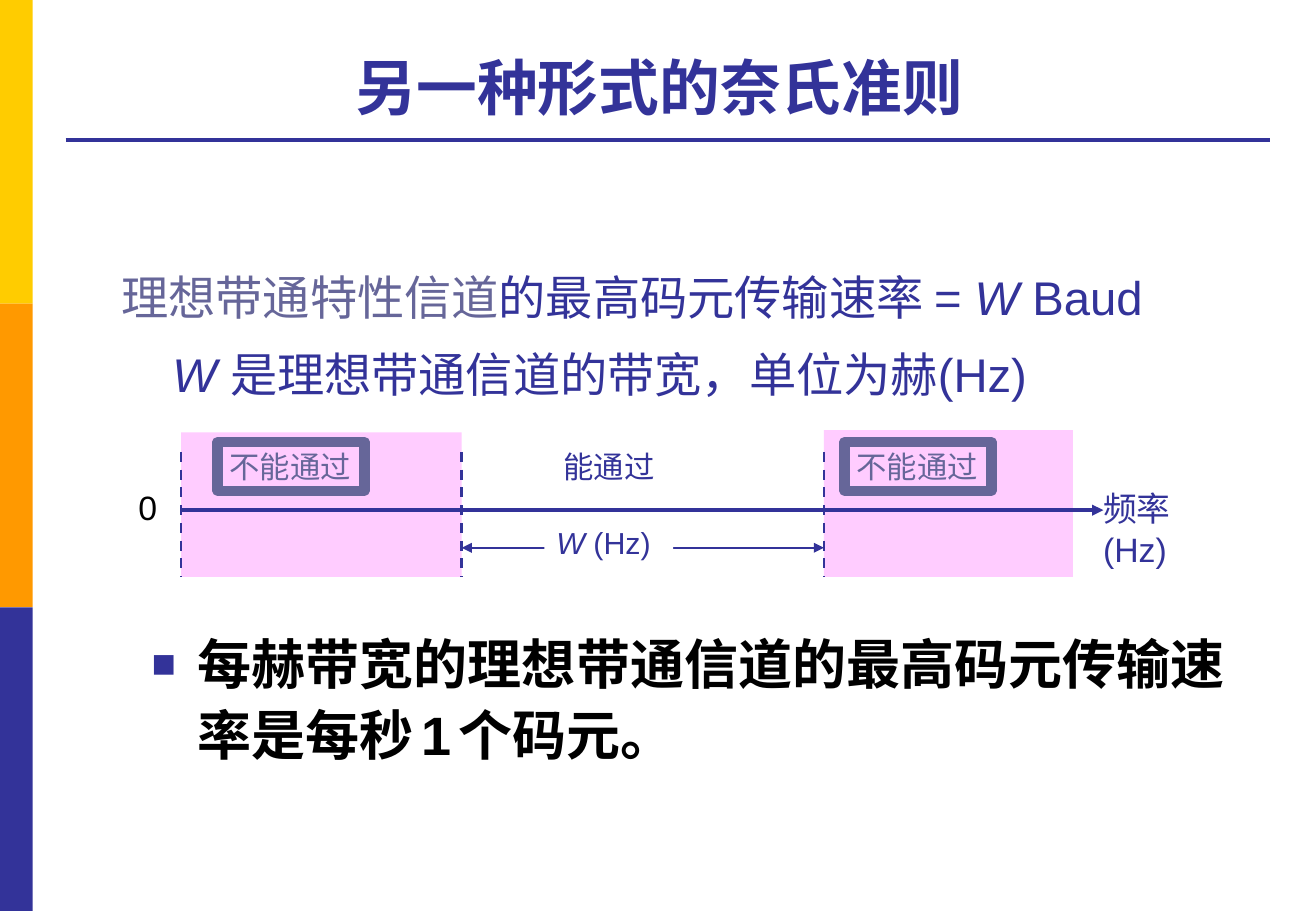
from lxml.etree import SubElement
from pptx import Presentation
from pptx.dml.color import RGBColor
from pptx.enum.dml import MSO_LINE
from pptx.enum.shapes import MSO_CONNECTOR, MSO_SHAPE
from pptx.enum.text import MSO_ANCHOR, MSO_AUTO_SIZE, PP_ALIGN
from pptx.oxml.ns import qn
from pptx.util import Inches, Pt

NAVY, SLATE, PINK = "333399", "666699", "FFCCFF"


def color(value):
    return RGBColor.from_string(value)


def add_run(paragraph, text, size, ink=NAVY, italic=False, bold=False):
    run = paragraph.add_run()
    run.text = text
    font = run.font
    font.name, font.size = "Arial", Pt(size)
    font.italic, font.bold = italic, bold
    font.color.rgb = color(ink)


def add_label(slide, left, top, width, height, runs, wrap=False):
    label = slide.shapes.add_textbox(Inches(left), Inches(top), Inches(width), Inches(height))
    label.text_frame.word_wrap = wrap
    paragraph = label.text_frame.paragraphs[0]
    for run in runs:
        add_run(paragraph, *run)
    return label


def add_block(slide, left, top, width, height, fill):
    block = slide.shapes.add_shape(
        MSO_SHAPE.RECTANGLE, Inches(left), Inches(top), Inches(width), Inches(height))
    block.shadow.inherit = False
    block.fill.solid()
    block.fill.fore_color.rgb = color(fill)
    block.line.fill.background()


def add_line(slide, start, end, width, dashed=False, arrows=()):
    line = slide.shapes.add_connector(
        MSO_CONNECTOR.STRAIGHT, *(Inches(value) for value in (*start, *end)))
    line.line.color.rgb = color(NAVY)
    line.line.width = Pt(width)
    if dashed:
        line.line.dash_style = MSO_LINE.DASH
    properties = line.line._get_or_add_ln()
    for end_name in arrows:
        SubElement(properties, qn(f"a:{end_name}"), type="triangle")
    SubElement(line._element.spPr, qn("a:effectLst"))


def add_sidebar(slide, left, top, width, height):
    band = height / 3
    for index, fill in enumerate(("FFCC00", "FF9900", NAVY)):
        add_block(slide, left, top + index * band, width, band, fill)


def add_title(slide, left, top, width, height):
    title = slide.shapes.title
    title.left, title.top = Inches(left), Inches(top)
    title.width, title.height = Inches(width), Inches(height)
    frame = title.text_frame
    frame.auto_size = MSO_AUTO_SIZE.NONE
    frame.vertical_anchor = MSO_ANCHOR.BOTTOM
    paragraph = frame.paragraphs[0]
    paragraph.alignment = PP_ALIGN.CENTER
    add_run(paragraph, "另一种形式的奈氏准则", 36, bold=True)
    add_run(paragraph, " ", 44, bold=True)
    rule = top + height + 0.07
    add_line(slide, (left, rule), (left + width, rule), 2.25)


def add_formula(slide, left, top, width):
    add_label(slide, left, top, width, 0.57, [
        ("理想带通特性信道", 28, SLATE),
        ("的最高码元传输速率 = ", 28),
        ("W", 28, NAVY, True),
        (" Baud", 28),
    ])
    add_label(slide, left + 0.42, top + 0.63, width - 1.41, 0.57, [
        ("W ", 28, NAVY, True),
        ("是理想带通信道的带宽，单位为赫(Hz)", 28),
    ])


def add_stopband(slide, left, top, width, height):
    add_block(slide, left, top, width, height, PINK)


def add_stop_label(slide, left, top):
    label = add_label(slide, left, top, 1.21, 0.4, [("不能通过", 18, SLATE)])
    label.line.color.rgb = color(SLATE)
    label.line.width = Pt(6)


def add_spectrum(slide, left, top, width, height):
    low, high, bottom = left + 2.31, left + 5.29, top + height
    axis, span = top + 0.66, top + 0.97
    add_stopband(slide, left, top + 0.02, low - left, height - 0.02)
    add_stopband(slide, high, top, 2.05, height)
    add_line(slide, (left, axis), (left + width, axis), 2.25, arrows=("tailEnd",))
    add_line(slide, (low, span), (high, span), 1.5, arrows=("headEnd", "tailEnd"))
    add_block(slide, low + 0.68, top + 0.73, 1.06, 0.4, "FFFFFF")
    add_label(slide, low + 0.68, top + 0.73, 1.06, 0.4,
              [("W ", 18, NAVY, True), ("(Hz)", 18)])
    for edge in (left, low, high):
        add_line(slide, (edge, top + 0.18), (edge, bottom), 1.5, dashed=True)
    for label_left in (left + 0.3, high + 0.17):
        add_stop_label(slide, label_left, top + 0.1)
    add_label(slide, low + 0.74, top + 0.1, 0.96, 0.4, [("能通过", 18)])
    add_label(slide, left - 0.45, axis - 0.24, 0.36, 0.44, [("0", 20, "000000")])
    add_label(slide, left + width - 0.1, axis - 0.23, 1.2, 0.8,
              [("频率(Hz)", 20)], wrap=True)


def add_conclusion(slide, left, top, width, height):
    pieces = (("每赫带宽的理想带通信道的最高码元传输速率是每秒", 32), (" ", 18),
              ("1", 32), (" ", 16), ("个码元。", 32))
    conclusion = add_label(slide, left, top, width, height,
                           [(text, size, "000000", False, True) for text, size in pieces],
                           wrap=True)
    paragraph = conclusion.text_frame.paragraphs[0]
    paragraph.line_spacing = 1.1
    properties = paragraph._p.get_or_add_pPr()
    properties.set("marL", str(Inches(0.38)))
    properties.set("indent", str(-Inches(0.38)))
    bullet_color = SubElement(properties, qn("a:buClr"))
    SubElement(bullet_color, qn("a:srgbClr"), val=NAVY)
    SubElement(properties, qn("a:buSzPct"), val="75000")
    SubElement(properties, qn("a:buFont"), typeface="Arial")
    SubElement(properties, qn("a:buChar"), char="■")


def main():
    deck = Presentation()
    deck.slide_width, deck.slide_height = Inches(10.83), Inches(7.5)
    slide = deck.slides.add_slide(deck.slide_layouts[5])
    add_sidebar(slide, 0, 0, 0.27, 7.5)
    add_title(slide, 0.54, 0.21, 9.91, 0.87)
    add_formula(slide, 0.9, 2.16, 8.83)
    add_spectrum(slide, 1.49, 3.54, 7.59, 1.21)
    add_conclusion(slide, 1.15, 5.09, 9.21, 1.41)
    deck.save("out.pptx")


if __name__ == "__main__":
    main()
